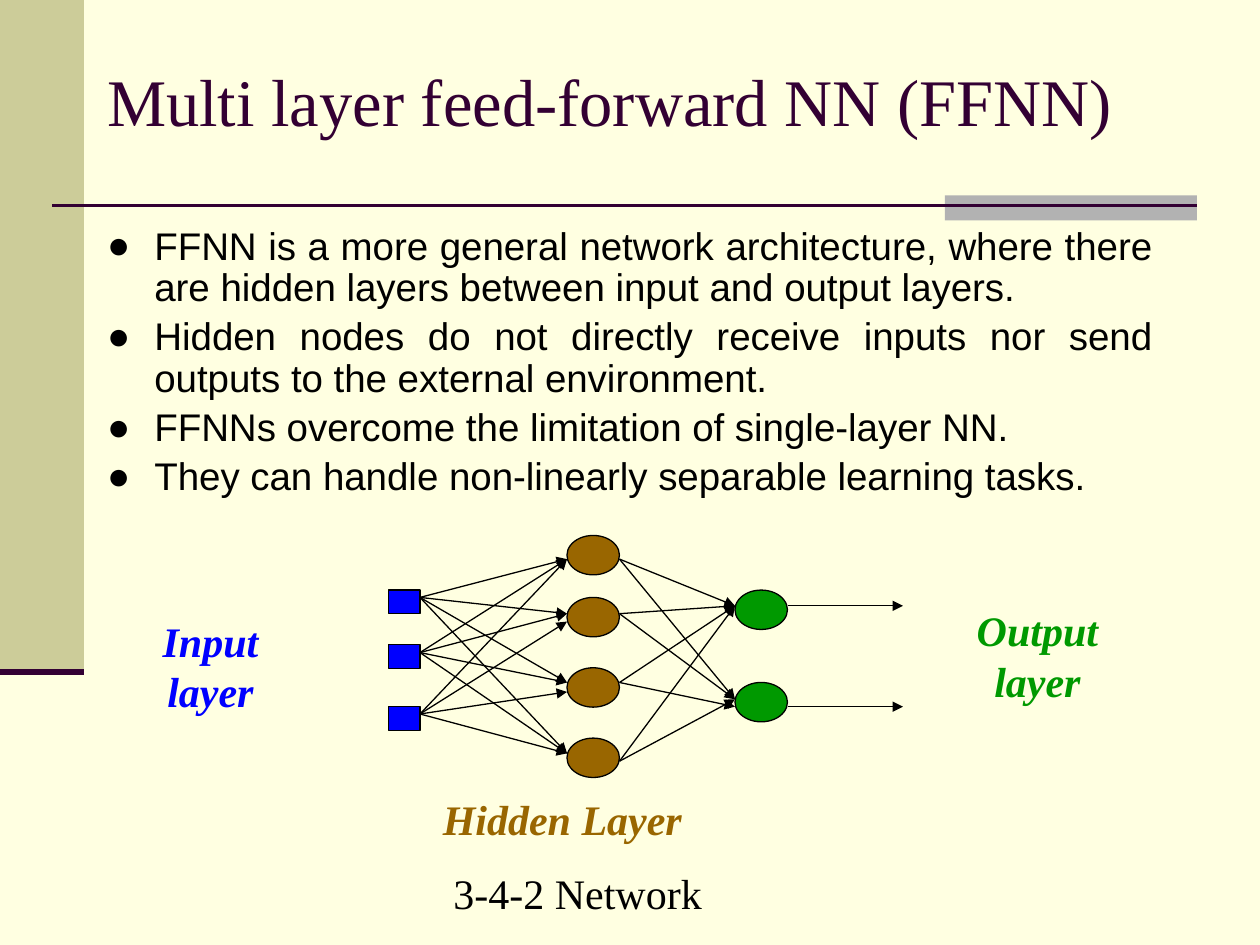
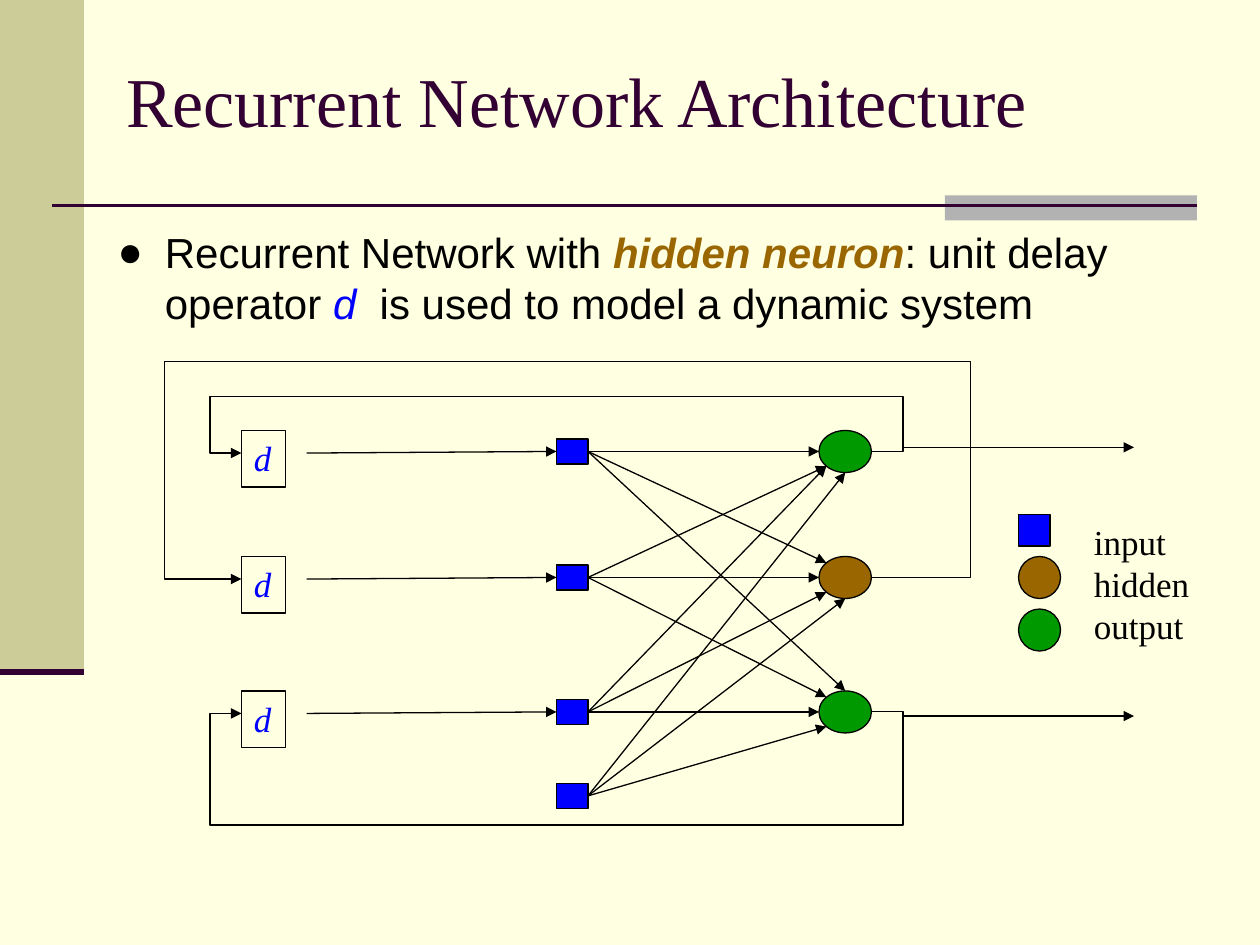
from dataclasses import dataclass
from itertools import product

from lxml.etree import SubElement
from pptx import Presentation
from pptx.dml.color import RGBColor
from pptx.enum.shapes import MSO_CONNECTOR, MSO_SHAPE
from pptx.enum.text import MSO_ANCHOR, MSO_AUTO_SIZE, PP_ALIGN
from pptx.oxml.ns import qn
from pptx.util import Inches, Pt

COLUMNS, ROWS = 120, 90


@dataclass(frozen=True)
class Theme:
    paper: str = "FFFFE1"
    band: str = "CCCC99"
    tab: str = "B2B2B2"
    plum: str = "330033"
    ink: str = "000000"
    input: str = "0000FF"
    hidden: str = "996600"
    output: str = "009900"
    serif: str = "Times New Roman"
    sans: str = "Arial"
    label_size: int = 24
    legend_size: int = 20
    hairline: float = 0.75


THEME = Theme()


@dataclass(frozen=True)
class Box:
    left: float
    top: float
    width: float
    height: float

    def inner(self, left, top, width, height):
        return Box(self.left + left, self.top + top, width, height)

    def point(self, column, row):
        return grid(self.left + column), grid(self.top + row)

    def lengths(self):
        return [grid(value) for value in (self.left, self.top, self.width, self.height)]


PAGE = Box(0, 0, COLUMNS, ROWS)


def grid(units):
    return Inches(units * 10 / COLUMNS)


def rgb(name):
    return RGBColor.from_string(name)


def add_span(para, text, size, font, color, bold=False, italic=False):
    span = para.add_run()
    span.text = text
    span.font.size = Pt(size)
    span.font.name = font
    span.font.color.rgb = rgb(color)
    span.font.bold = bold
    span.font.italic = italic


def add_node(page, box, kind, color, outlined=True):
    node = page.shapes.add_shape(kind, *box.lengths())
    node.shadow.inherit = False
    node.fill.solid()
    node.fill.fore_color.rgb = rgb(color)
    if outlined:
        node.line.color.rgb = rgb(THEME.ink)
        node.line.width = Pt(THEME.hairline)
    else:
        node.line.fill.background()
    return node


def add_line(page, box, start, end, color=THEME.ink, width=THEME.hairline,
             arrow=True, kind=MSO_CONNECTOR.STRAIGHT):
    line = page.shapes.add_connector(kind, *box.point(*start), *box.point(*end))
    line.line.color.rgb = rgb(color)
    line.line.width = Pt(width)
    properties = line.element.spPr
    if arrow:
        SubElement(properties.find(qn("a:ln")), qn("a:tailEnd"), type="triangle")
    SubElement(properties, qn("a:effectLst"))
    return line


def add_loop(page, box, start, end, out_column, track_row, back_column):
    loop = add_line(page, box, start, end, kind=MSO_CONNECTOR.ELBOW)
    geometry = loop.element.spPr.find(qn("a:prstGeom"))
    geometry.set("prst", "bentConnector5")
    guides = geometry.find(qn("a:avLst"))
    if guides is None:
        guides = SubElement(geometry, qn("a:avLst"))
    across, down = end[0] - start[0], end[1] - start[1]
    shares = ((out_column - start[0]) / across,
              (track_row - start[1]) / down,
              (back_column - start[0]) / across)
    for number, share in enumerate(shares, 1):
        SubElement(guides, qn("a:gd"), name=f"adj{number}",
                   fmla=f"val {round(share * 100000)}")


def add_label(page, box, lines, size, color, align=PP_ALIGN.LEFT,
              bold=False, italic=False, wrap=True):
    label = page.shapes.add_textbox(*box.lengths())
    frame = label.text_frame
    frame.word_wrap = wrap
    for index, text in enumerate(lines):
        para = frame.paragraphs[0] if index == 0 else frame.add_paragraph()
        para.alignment = align
        add_span(para, text, size, THEME.serif, color, bold, italic)
    return label


def place(holder, box):
    holder.left, holder.top, holder.width, holder.height = box.lengths()
    holder.text_frame.auto_size = MSO_AUTO_SIZE.NONE
    return holder.text_frame


def fill_title(page, box, text, size, indent=0.1):
    frame = place(page.shapes.title, box)
    frame.vertical_anchor = MSO_ANCHOR.MIDDLE
    frame.margin_left = Inches(indent)
    para = frame.paragraphs[0]
    para.alignment = PP_ALIGN.LEFT
    add_span(para, text, size, THEME.serif, THEME.plum)


def fill_list(page, box, items, size, align=PP_ALIGN.LEFT, spacing=1.0):
    frame = place(page.placeholders[1], box)
    frame.vertical_anchor = MSO_ANCHOR.TOP
    for index, spans in enumerate(items):
        para = frame.paragraphs[0] if index == 0 else frame.add_paragraph()
        para.alignment = align
        para.line_spacing = spacing
        SubElement(para._p.get_or_add_pPr(), qn("a:buChar"), char="●")
        for text, color, bold, italic in spans:
            add_span(para, text, size, THEME.sans, color, bold, italic)


def decorate_layout(layout, page, box):
    for holder in list(layout.placeholders)[2:]:
        holder.element.getparent().remove(holder.element)
    parts = [
        add_node(page, box.inner(0, 0, 8, 64), MSO_SHAPE.RECTANGLE, THEME.band, False),
        add_node(page, box.inner(90, 18.6, 24, 2.4), MSO_SHAPE.RECTANGLE, THEME.tab, False),
        add_line(page, box, (5, 19.6), (114, 19.6), THEME.plum, 1.5, False),
        add_line(page, box, (0, 64), (8, 64), THEME.plum, 3.5, False),
    ]
    for part in parts:
        layout.shapes.element.append(part.element)


def draw_feed_forward(page, box):
    input_tops = (5.2, 10.4, 16.3)
    hidden_tops = (0, 5.9, 12.6, 19.3)
    output_tops = (5.2, 14)
    input_ports = (5.9, 11.15, 17)
    hidden_entries = (2.25, 7.45, 14, 20.75)
    last_input_entries = (2.25, 8.2, 14.9, 20.75)
    hidden_exits = (2.25, 7.45, 14, 21.5)
    upper_output, lower_output, lower_exit = 6.7, 15.6, 16.3

    for top in hidden_tops:
        add_node(page, box.inner(17, top, 5, 3.75), MSO_SHAPE.OVAL, THEME.hidden)
    for top in input_tops:
        add_node(page, box.inner(0, top, 3, 2.25), MSO_SHAPE.RECTANGLE, THEME.input)
    for source, target in product(range(3), range(4)):
        entries = last_input_entries if source == 2 else hidden_entries
        add_line(page, box, (3, input_ports[source]), (17, entries[target]))
    for top in output_tops:
        add_node(page, box.inner(33, top, 5, 3.75), MSO_SHAPE.OVAL, THEME.output)
    for index, row in enumerate(hidden_exits):
        add_line(page, box, (22, row), (33, upper_output))
        add_line(page, box, (22, row), (33, lower_exit if index == 2 else lower_output))
    for row in (upper_output, lower_exit):
        add_line(page, box, (38, row), (49, row))


def label_layers(page, box):
    style = dict(size=THEME.label_size, bold=True, italic=True)
    add_label(page, box.inner(0, 7, 11.5, 10.8), ["Input", "layer"],
              color=THEME.input, align=PP_ALIGN.CENTER, **style)
    add_label(page, box.inner(77.5, 6, 14, 10.8), ["Output", "layer"],
              color=THEME.output, align=PP_ALIGN.CENTER, **style)
    add_label(page, box.inner(26.7, 24, 25.2, 6), ["Hidden Layer"],
              color=THEME.hidden, **style)
    add_label(page, box.inner(27.7, 31, 30, 6), ["3-4-2 Network"],
              THEME.label_size, THEME.ink)


def draw_recurrent(page, box):
    rows = (10, 22, 34.8)
    bias_row = 42.8
    ports = {"side": (0, 0), "upper": (0.7, -1.4), "lower": (0.7, 1.4),
             "top": (2.5, -2), "bottom": (2.5, 2)}
    links = (("side", "upper", "top"), ("lower", "side", "upper"),
             ("lower", "lower", "side"), ("bottom", "bottom", "lower"))
    neuron_colors = (THEME.output, THEME.hidden, THEME.output)
    loops = ((71, 4.8, 5), (77.4, 1.56, 0.7), (71, 45.5, 5))

    for row, color, loop in zip(rows, neuron_colors, loops):
        add_node(page, box.inner(63, row - 2, 5, 4), MSO_SHAPE.OVAL, color)
        delay = add_label(page, box.inner(8, row - 2, 4.2, 5.4), ["d"],
                          THEME.legend_size, THEME.input, italic=True, wrap=False)
        delay.line.color.rgb = rgb(THEME.ink)
        delay.line.width = Pt(1)
        add_line(page, box, (14.2, row + 0.15), (38, row))
        add_loop(page, box, (68, row), (8, row + 0.15), *loop)
    for row, names in zip((*rows, bias_row), links):
        add_node(page, box.inner(38, row - 1.2, 3, 2.4), MSO_SHAPE.RECTANGLE, THEME.input)
        for target, name in zip(rows, names):
            column, shift = ports[name]
            add_line(page, box, (41, row), (63 + column, target + shift))
    for row in (9.6, 35.2):
        add_line(page, box, (71, row), (93, row))


def draw_legend(page, box):
    add_node(page, box.inner(0, 0, 3, 3), MSO_SHAPE.RECTANGLE, THEME.input)
    for top, color in ((4, THEME.hidden), (9, THEME.output)):
        add_node(page, box.inner(0, top, 4, 4), MSO_SHAPE.OVAL, color)
    add_label(page, box.inner(6, 0, 14, 13.2), ["input", "hidden", "output"],
              THEME.legend_size, THEME.ink)


def build_feed_forward(page):
    fill_title(page, PAGE.inner(9, 5, 105, 9), "Multi layer feed-forward NN (FFNN)", 38)
    sentences = (
        "FFNN is a more general network architecture, where there are hidden layers "
        "between input and output layers.",
        "Hidden nodes do not directly receive inputs nor send outputs to the external "
        "environment.",
        "FFNNs overcome the limitation of single-layer NN.",
        "They can handle non-linearly separable learning tasks.",
    )
    items = [[(text, THEME.ink, False, False)] for text in sentences]
    fill_list(page, PAGE.inner(9, 21, 102, 31), items, 22, PP_ALIGN.JUSTIFY, 0.9)
    label_layers(page, PAGE.inner(14.3, 51, 92, 37))
    draw_feed_forward(page, PAGE.inner(37, 51, 49, 23))


def build_recurrent(page):
    fill_title(page, PAGE.inner(9, 5, 101, 9), "Recurrent Network Architecture", 40, 0.25)
    spans = [
        ("Recurrent Network with ", THEME.ink, False, False),
        ("hidden neuron", THEME.hidden, True, True),
        (": unit delay operator ", THEME.ink, False, False),
        ("d  ", THEME.input, False, True),
        ("is used to model a dynamic system", THEME.ink, False, False),
    ]
    fill_list(page, PAGE.inner(10, 21, 107, 10), [spans], 24)
    draw_recurrent(page, PAGE.inner(15, 33, 93, 46))
    draw_legend(page, PAGE.inner(97, 49, 20, 13))


def main():
    deck = Presentation()
    deck.slide_width, deck.slide_height = grid(COLUMNS), grid(ROWS)
    background = deck.slide_master.background.fill
    background.solid()
    background.fore_color.rgb = rgb(THEME.paper)
    layout = deck.slide_layouts[1]
    pages = [deck.slides.add_slide(layout) for _ in range(2)]
    decorate_layout(layout, pages[0], PAGE)
    build_feed_forward(pages[0])
    build_recurrent(pages[1])
    deck.save("out.pptx")


if __name__ == "__main__":
    main()
